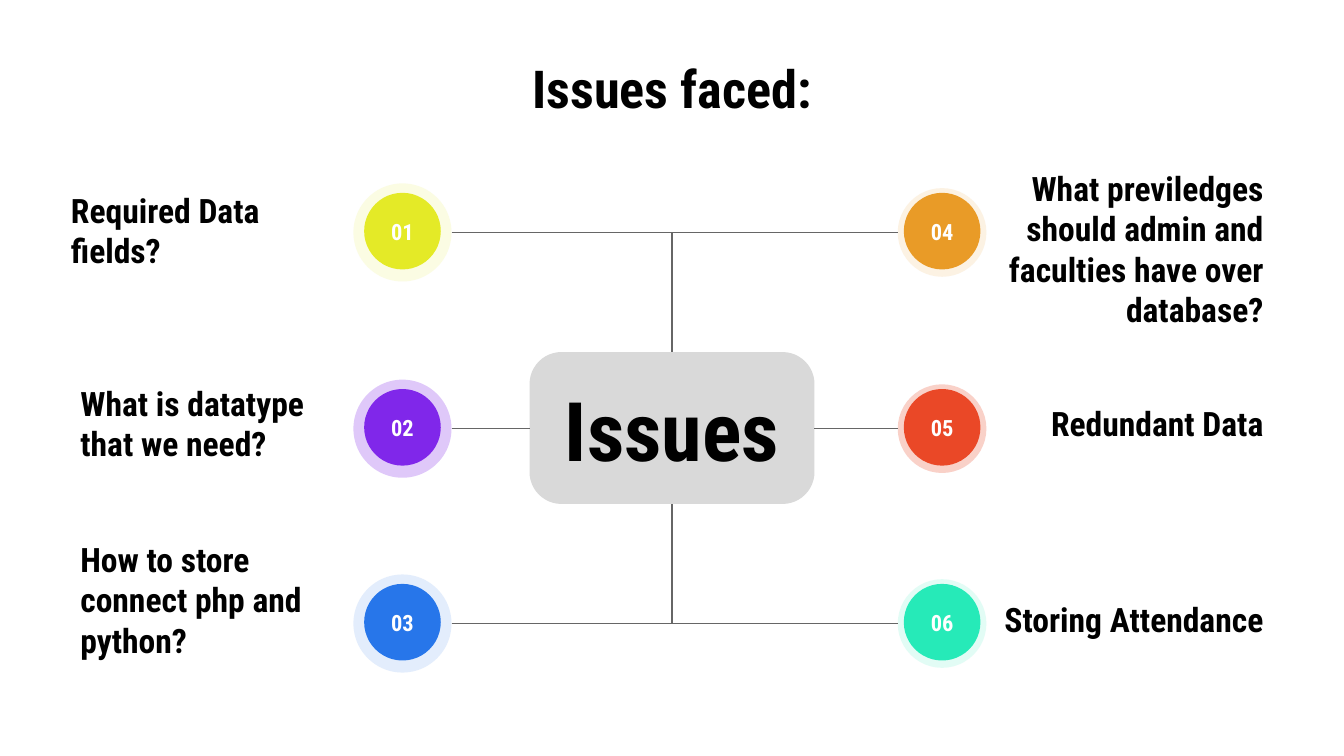
import pptx
import pptx.dml.color
import pptx.enum.shapes
import pptx.enum.text
import pptx.oxml.ns
import pptx.util
from lxml import etree

Inches = pptx.util.Inches
Pt = pptx.util.Pt
RGBColor = pptx.dml.color.RGBColor
Shape = pptx.enum.shapes.MSO_SHAPE
Align = pptx.enum.text.PP_ALIGN
qn = pptx.oxml.ns.qn

BLACK = RGBColor(0x00, 0x00, 0x00)
WHITE = RGBColor(0xFF, 0xFF, 0xFF)
HUB_GRAY = RGBColor(0xD9, 0xD9, 0xD9)
BRANCH_GRAY = RGBColor(0x66, 0x66, 0x66)
YELLOW = RGBColor(0xE4, 0xEA, 0x27)
PURPLE = RGBColor(0x80, 0x27, 0xEA)
BLUE = RGBColor(0x27, 0x76, 0xEA)
ORANGE = RGBColor(0xE9, 0x9B, 0x27)
RED = RGBColor(0xEA, 0x48, 0x27)
TEAL = RGBColor(0x26, 0xEA, 0xB8)

FONT = "Roboto Condensed"
HUB = (3.94, 2.62, 2.12, 1.13)
ROW_CENTERS = (1.73, 3.19, 4.64)
LABEL_WIDTH, LABEL_HEIGHT = 2.17, 0.36
DISC = 0.57

LEFT_ISSUES = (
    ("01", "Required Data fields?", YELLOW, 13, -0.07, -0.02),
    ("02", "What is datatype that we need?", PURPLE, 25, 0, -0.04),
    ("03", "How to store connect php and python?", BLUE, 13, 0, -0.18),
)
RIGHT_ISSUES = (
    ("04", "What previledges should admin and faculties have over database?",
     ORANGE, 13, 0, 0.12),
    ("05", "Redundant Data", RED, 25, 0, -0.04),
    ("06", "Storing Attendance", TEAL, 13, 0, -0.03),
)


def write(shape, text, size, color=BLACK, align=Align.CENTER):
    """Put one bold paragraph in the middle of a shape."""
    frame = shape.text_frame
    frame_format = {"word_wrap": True,
                    "vertical_anchor": pptx.enum.text.MSO_ANCHOR.MIDDLE}
    for side in ("left", "top", "right", "bottom"):
        frame_format[f"margin_{side}"] = Inches(0.1)
    for name, value in frame_format.items():
        setattr(frame, name, value)
    paragraph = frame.paragraphs[0]
    paragraph.alignment = align
    run = paragraph.add_run()
    run.text = text
    for name, value in {"name": FONT, "size": Pt(size), "bold": True}.items():
        setattr(run.font, name, value)
    run.font.color.rgb = color


def add_label(slide, box, text, size, align=Align.CENTER):
    """Add a text box at the given box."""
    label = slide.shapes.add_textbox(*map(Inches, box))
    write(label, text, size, align=align)


def add_solid(slide, preset, box, color, opacity=100):
    """Add a flat borderless shape, see-through below full opacity."""
    solid = slide.shapes.add_shape(preset, *map(Inches, box))
    solid.shadow.inherit = False
    solid.fill.solid()
    solid.fill.fore_color.rgb = color
    solid.line.fill.background()
    if opacity < 100:
        tint = solid.fill._xPr.find(".//" + qn("a:srgbClr"))
        etree.SubElement(tint, qn("a:alpha")).set("val", str(opacity * 1000))
    return solid


def add_circle(slide, center_x, center_y, diameter, color, opacity=100):
    """Add a circle around a center point."""
    box = (center_x - diameter / 2, center_y - diameter / 2, diameter, diameter)
    return add_solid(slide, Shape.OVAL, box, color, opacity)


def add_branch(slide, start, end):
    """Join an issue to the hub, with one corner when their heights differ."""
    branch = slide.shapes.add_connector(
        pptx.enum.shapes.MSO_CONNECTOR.ELBOW, *map(Inches, start + end))
    branch.line.color.rgb = BRANCH_GRAY
    branch.line.width = Pt(0.75)
    properties = branch._element.spPr
    if start[1] != end[1]:
        properties.find(qn("a:prstGeom")).set("prst", "bentConnector2")
    etree.SubElement(properties, qn("a:effectLst"))


def add_hub(slide, box):
    """Draw the central rounded box and its caption."""
    left, top, width, height = box
    hub = add_solid(slide, Shape.ROUNDED_RECTANGLE, box, HUB_GRAY)
    hub.adjustments[0] = 0.21
    add_label(slide, (left + 0.09, top + 0.24, width - 0.18, 0.66), "Issues", 44)


def add_issue_column(slide, box, issues, halo, on_left):
    """Draw a column of numbered issues, with discs on the hub side."""
    left, width = box
    right = left + width
    hub_left, hub_top, hub_width, hub_height = HUB
    if on_left:
        disc_x, branch_x, hub_side = right - halo / 2, right, hub_left
        label_x, align = left, Align.LEFT
    else:
        disc_x, branch_x, hub_side = left + halo / 2, left, hub_left + hub_width
        label_x, align = right - LABEL_WIDTH, Align.RIGHT
    hub_x = hub_left + hub_width / 2
    hub_ends = ((hub_x, hub_top), (hub_side, ROW_CENTERS[1]),
                (hub_x, hub_top + hub_height))
    for issue, center_y, hub_end in zip(issues, ROW_CENTERS, hub_ends):
        number, question, color, opacity, shift_x, shift_y = issue
        add_circle(slide, disc_x, center_y, halo, color, opacity)
        add_branch(slide, (branch_x, center_y), hub_end)
        disc = add_circle(slide, disc_x, center_y - 0.01, DISC, color)
        write(disc, number, 12, WHITE)
        label_y = center_y + shift_y - LABEL_HEIGHT / 2
        add_label(slide, (label_x + shift_x, label_y, LABEL_WIDTH, LABEL_HEIGHT),
                  question, 18, align)


def main():
    """Build the issues slide and save it."""
    deck = pptx.Presentation()
    deck.slide_width = Inches(10)
    deck.slide_height = deck.slide_width * 9 // 16
    slide = deck.slides.add_slide(deck.slide_layouts[6])
    add_label(slide, (0.5, 0.45, 9, 0.41), "Issues faced:", 28)
    add_hub(slide, HUB)
    add_issue_column(slide, (0.5, 2.86), LEFT_ISSUES, 0.73, True)
    add_issue_column(slide, (6.68, 2.82), RIGHT_ISSUES, 0.66, False)
    deck.save("out.pptx")


if __name__ == "__main__":
    main()
